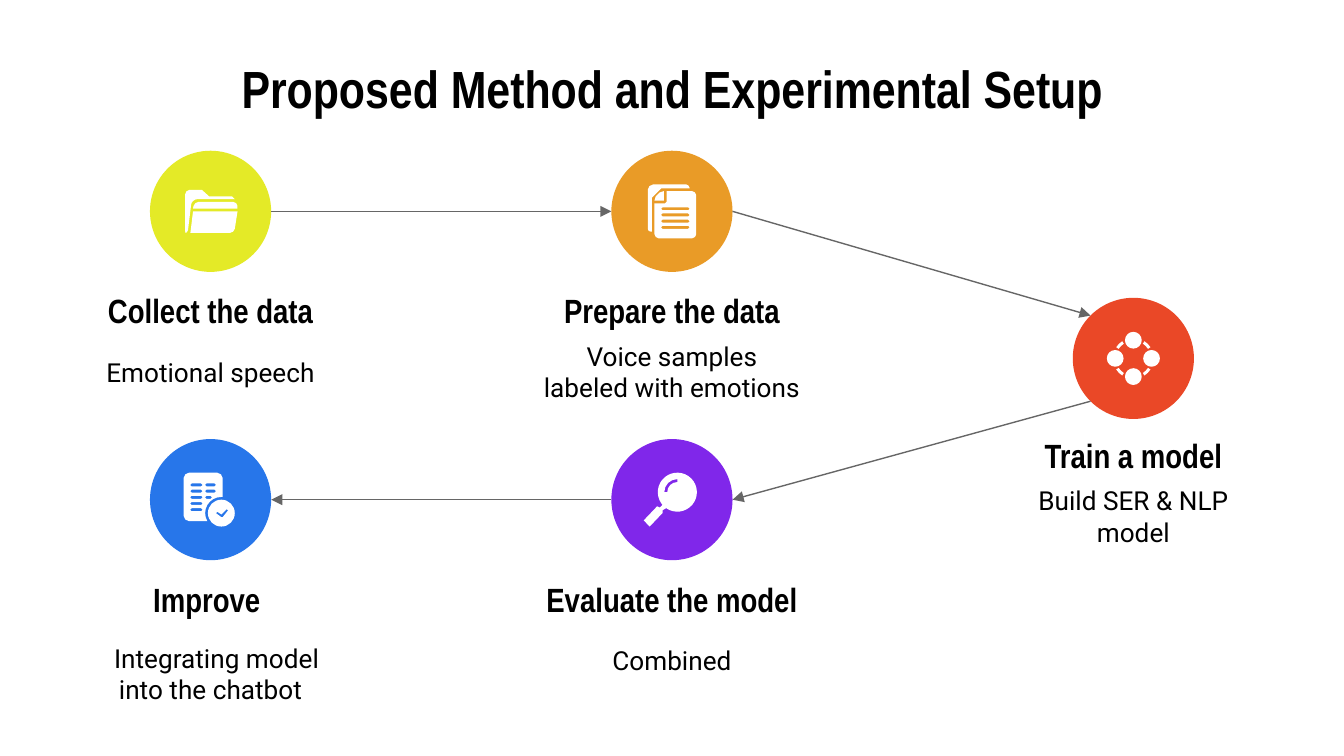
from collections import namedtuple
from math import ceil, cos, hypot, radians, sin, tan

from lxml import etree
from pptx import Presentation
from pptx.dml.color import RGBColor
from pptx.enum.shapes import MSO_CONNECTOR, MSO_SHAPE
from pptx.enum.text import MSO_ANCHOR, MSO_AUTO_SIZE, PP_ALIGN
from pptx.oxml.ns import qn
from pptx.util import Cm, Pt

ELLIPSE = MSO_SHAPE.OVAL
STRAIGHT = MSO_CONNECTOR.STRAIGHT
CENTER = PP_ALIGN.CENTER
MIDDLE = MSO_ANCHOR.MIDDLE
NO_FIT = MSO_AUTO_SIZE.NONE
HEADING_FONT, BODY_FONT = "Arial Narrow", "Roboto"

Box = namedtuple("Box", "left top width height")  # centimetres
Step = namedtuple("Step", "heading caption fill column row icon caption_height first_indent",
                  defaults=(1.35, 0))

DISC = 2.29
ICON_GRID = 90  # icon units across a disc
COLUMN_LEFT, COLUMN_PITCH, COLUMN_WIDTH = 1.27, 8.72, 5.42
DISC_TOPS = (2.85, 5.63, 8.3)
HEADING_TOP, ROW_PITCH = 5.41, 2.73


def color(value):
    return RGBColor.from_string(value)


def write(shape, text, font=BODY_FONT, size=14, bold=False, first_indent=0):
    frame = shape.text_frame
    frame.word_wrap = True
    frame.auto_size = NO_FIT
    frame.vertical_anchor = MIDDLE
    frame.margin_left = frame.margin_right = Cm(0.25)
    frame.margin_top = frame.margin_bottom = Cm(0.25)
    para = frame.paragraphs[0]
    para.alignment = CENTER
    if first_indent:
        para._p.get_or_add_pPr().set("indent", str(Cm(first_indent)))
    span = para.add_run()
    span.text = text
    span.font.name, span.font.size, span.font.bold = font, Pt(size), bold
    span.font.color.rgb = color("000000")


def paint(shape, fill):
    shape.shadow.inherit = False
    shape.fill.solid()
    shape.fill.fore_color.rgb = color(fill)
    shape.line.fill.background()


# Contours, in icon units: lists of segments, one point for a line, three for a curve
def polar(x, y, radius, angle):
    return x + radius * cos(radians(angle)), y + radius * sin(radians(angle))


def arc(x, y, radius, start, end):
    count = ceil(abs(end - start) / 90)
    sweep = (end - start) / count
    reach = 4 / 3 * tan(radians(sweep / 4)) * radius
    segments = [(polar(x, y, radius, start),)]
    for i in range(count):
        first, last = start + sweep * i, start + sweep * (i + 1)
        a, b = polar(x, y, radius, first), polar(x, y, radius, last)
        segments.append((polar(*a, reach, first + 90), polar(*b, reach, last - 90), b))
    return segments


def band(x, y, inner, outer, start, end):
    return arc(x, y, outer, start, end) + arc(x, y, inner, end, start)


def outline(*corners):
    """A corner is x, y and, where it is rounded, a radius."""
    segments = []
    for i, (x, y, *radius) in enumerate(corners):
        if not radius:
            segments.append(((x, y),))
            continue
        ends = []
        for nx, ny, *_ in (corners[i - 1], corners[(i + 1) % len(corners)]):
            share = radius[0] / hypot(nx - x, ny - y)
            ends.append((x + (nx - x) * share, y + (ny - y) * share))
        controls = [((ex + x) / 2, (ey + y) / 2) for ex, ey in ends]
        segments += [(ends[0],), (*controls, ends[1])]
    return segments


def bar(left, right, top, height=2.2):
    bottom, bulge = top + height, 1.5
    return [((left, top),), ((right, top),),
            ((right + bulge, top), (right + bulge, bottom), (right, bottom)), ((left, bottom),),
            ((left - bulge, bottom), (left - bulge, top), (left, top))]


# Icons: each is a list of shapes, each shape a list of contours
def folder_icon():
    tab = outline((32, 43), (33, 38, 3), (65, 38, 3), (65, 43))
    front = outline((32, 45), (65, 45), (62.5, 61, 3), (30, 61))
    back = outline((28, 61, 2), (26, 61, 1), (26, 29, 3.5), (38.5, 29), (44, 34),
                   (61, 34), (63, 36), (31, 36, 4))
    return [[tab], [front], [back]]


def pages_icon():
    back = outline((27, 25, 4), (58, 25, 2.5), (58, 28), (37, 28), (30, 35), (30, 60), (27, 60, 2))
    front = outline((41, 30), (63, 30, 3), (63, 65, 3), (32, 65, 3), (32, 39), (41, 39, 1))
    fold = outline((39, 30), (39, 37), (32, 37), (33, 34), (36, 31))
    return [[back], [front] + [bar(38, 57, 42 + 4.6 * i) for i in range(4)], [fold]]


def network_icon():
    nodes = [[arc(x, y, 6.2, 0, 360)] for x, y in ((45, 31.5), (31.5, 45), (58.5, 45), (45, 58.5))]
    links = [[band(45, 45, 13, 15.2, 33 + 90 * i, 57 + 90 * i)] for i in range(4)]
    return nodes + links


def magnifier_icon():
    handle = outline((38, 53), (38, 55), (28.5, 65), (24, 60.5), (34, 50), (36, 51), (38, 49))
    return [[arc(49, 39.5, 14.5, 145, 485) + handle, band(49, 39.5, 7.5, 9.7, 180, 270)]]


def checklist_icon():
    page = outline((42.6, 61), (25, 61, 4), (25, 25, 4), (54, 25, 4), (54, 43))
    page += arc(53, 55, 12, 270, 150)
    lines = [bar(31, 38, 33 + 4.6 * i) for i in range(5)]
    lines += [bar(42, right, 33 + 4.6 * i) for i, right in enumerate((48, 48, 45))]
    check = outline((57, 52), (58, 53), (54, 58), (53, 58), (49, 55), (50, 54), (53, 56))
    return [[page] + lines, [arc(53, 55, 10, 0, 360), check]]


def bend_curves(shape, contours):
    lines = iter(list(shape._element.iter(qn("a:lnTo"))))
    for contour in contours:
        for segment in contour[1:]:
            nodes = [next(lines) for _ in segment]
            if len(nodes) == 3:
                curve = etree.Element(qn("a:cubicBezTo"))
                nodes[0].addprevious(curve)
                for node in nodes:
                    curve.append(node[0])
                    node.getparent().remove(node)


def draw_icon(page, box, icon):
    unit = box.width / ICON_GRID
    for contours in icon():
        builder = None
        for contour in contours:
            points = [(Cm(box.left + x * unit), Cm(box.top + y * unit))
                      for segment in contour for x, y in segment]
            if builder is None:
                builder = page.shapes.build_freeform(*points[0], scale=1.0)
            else:
                builder.move_to(*points[0])
            builder.add_line_segments(points[1:], close=True)
        shape = builder.convert_to_shape()
        bend_curves(shape, contours)
        paint(shape, "FFFFFF")


def add_label(page, box, text, **style):
    write(page.shapes.add_textbox(*map(Cm, box)), text, **style)


def disc_box(step):
    left = COLUMN_LEFT + COLUMN_PITCH * step.column + (COLUMN_WIDTH - DISC) / 2
    return Box(left, DISC_TOPS[step.row], DISC, DISC)


def add_step(page, box, step):
    # Disc with its icon
    disc = disc_box(step)
    paint(page.shapes.add_shape(ELLIPSE, *map(Cm, disc)), step.fill)
    draw_icon(page, disc, step.icon)
    # Heading and caption
    add_label(page, box._replace(height=0.91), step.heading,
              font=HEADING_FONT, size=18, bold=True)
    add_label(page, box._replace(top=box.top + 0.94, height=step.caption_height),
              step.caption, first_indent=step.first_indent)


def add_arrow(page, start_box, start_angle, end_box, end_angle):
    ends = []
    for box, angle in ((start_box, start_angle), (end_box, end_angle)):
        radius = box.width / 2
        ends += polar(box.left + radius, box.top + radius, radius, angle)
    arrow = page.shapes.add_connector(STRAIGHT, *map(Cm, ends))
    arrow.line.color.rgb = color("666666")
    arrow.line.width = Pt(0.75)
    etree.SubElement(arrow.line._get_or_add_ln(), qn("a:tailEnd"), type="triangle")
    etree.SubElement(arrow._element.spPr, qn("a:effectLst"))


def add_title(page, box, text):
    title = page.shapes.title
    title.left, title.top, title.width, title.height = map(Cm, box)
    write(title, text, font=HEADING_FONT, size=28, bold=True)


STEPS = (
    Step("Collect the data", "Emotional speech", "E4EA27", 0, 0, folder_icon),
    Step("Prepare the data", "Voice samples labeled with emotions", "E99B27", 1, 0, pages_icon),
    Step("Train a model", "Build SER & NLP model", "EA4827", 2, 1, network_icon),
    Step("Evaluate the model", "Combined", "8027EA", 1, 2, magnifier_icon),
    Step("Improve ", "Integrating model into the chatbot", "2776EA", 0, 2, checklist_icon,
         1.85, 0.23),
)
# Leaving and arriving angles, clockwise from the right
ARROW_ANGLES = ((0, 180), (0, 225), (135, 0), (180, 0))


def main():
    deck = Presentation()
    deck.slide_width, deck.slide_height = Cm(25.4), Cm(14.29)
    page = deck.slides.add_slide(deck.slide_layouts[5])
    add_title(page, Box(1.27, 1.14, 22.86, 1.04), "Proposed Method and Experimental Setup")
    for step in STEPS:
        add_step(page, Box(COLUMN_LEFT + COLUMN_PITCH * step.column,
                           HEADING_TOP + ROW_PITCH * step.row, COLUMN_WIDTH, 0), step)
    for start, end, (leave, arrive) in zip(STEPS, STEPS[1:], ARROW_ANGLES):
        add_arrow(page, disc_box(start), leave, disc_box(end), arrive)
    deck.save("out.pptx")


if __name__ == "__main__":
    main()
